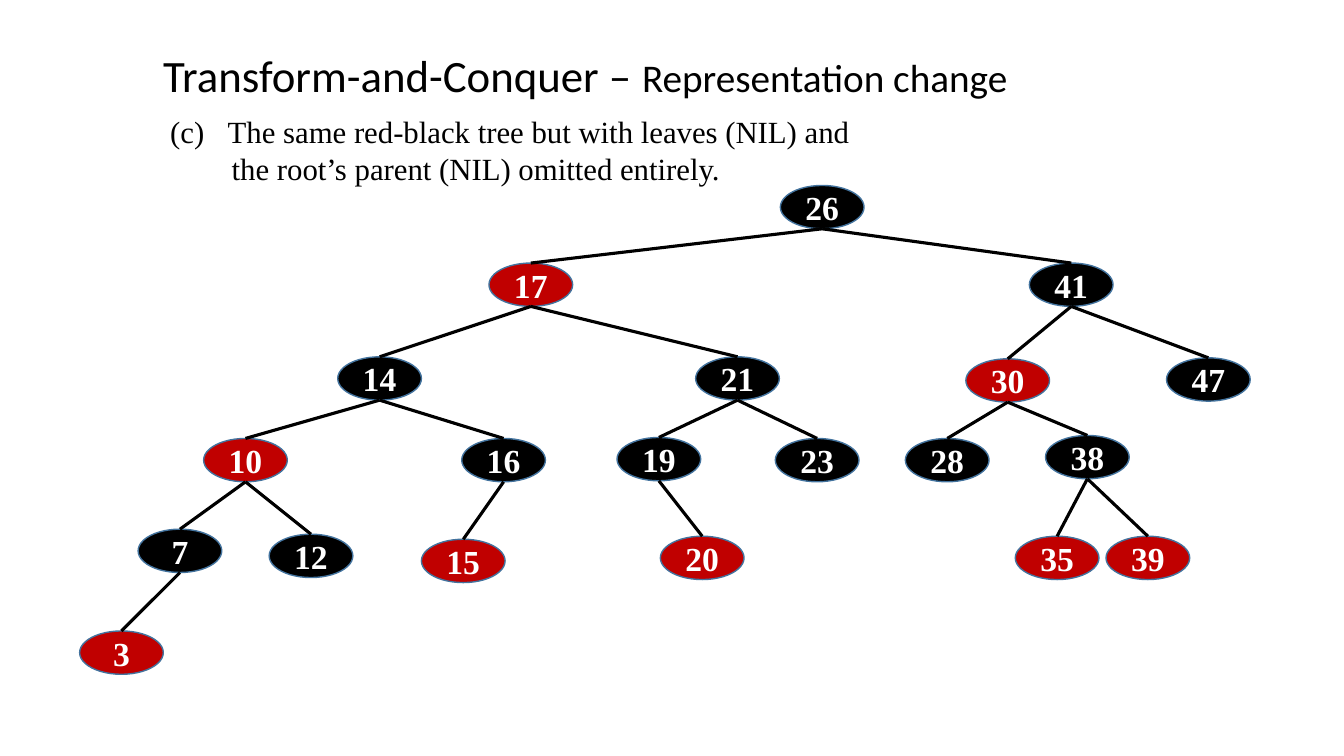
from lxml.etree import SubElement
from pptx import Presentation
from pptx.dml.color import RGBColor
from pptx.enum.shapes import MSO_CONNECTOR, MSO_SHAPE
from pptx.enum.text import MSO_ANCHOR, MSO_AUTO_SIZE, PP_ALIGN
from pptx.oxml.ns import qn
from pptx.util import Inches, Pt

COLORS = {
    "black": "000000",
    "red": "C00000",
    "edge": "43739E",
    "white": "FFFFFF",
}
SERIF = "Times New Roman"
WIDE, HIGH = 0.83, 0.43

# Key: left, top, parent
TREE = {
    26: (7.74, 1.84, None),
    17: (4.85, 2.61, 26),
    41: (10.21, 2.61, 26),
    14: (3.35, 3.54, 17),
    21: (6.9, 3.54, 17),
    30: (9.58, 3.56, 41),
    47: (11.57, 3.55, 41),
    10: (2.02, 4.35, 14),
    16: (4.58, 4.35, 14),
    19: (6.12, 4.34, 21),
    23: (7.69, 4.35, 21),
    28: (8.98, 4.35, 30),
    38: (10.37, 4.32, 30),
    7: (1.37, 5.25, 10),
    12: (2.67, 5.3, 10),
    15: (4.18, 5.35, 16),
    20: (6.55, 5.32, 19),
    35: (10.07, 5.32, 38),
    39: (10.97, 5.32, 38),
    3: (0.79, 6.26, 7),
}
REDS = {17, 30, 10, 15, 20, 35, 39, 3}


def color(name):
    return RGBColor.from_string(COLORS[name])


def style(font, name, size, tone):
    font.name = name
    font.size = Pt(size)
    font.color.rgb = color(tone)


deck = Presentation()
deck.slide_width, deck.slide_height = Inches(13.33), Inches(7.5)
slide = deck.slides.add_slide(deck.slide_layouts[6])
shapes = slide.shapes

# Tree nodes
nodes = {}
for key, (left, top, _) in TREE.items():
    node = shapes.add_shape(MSO_SHAPE.OVAL, Inches(left), Inches(top),
                            Inches(WIDE), Inches(HIGH))
    node.shadow.inherit = False
    node.fill.solid()
    node.fill.fore_color.rgb = color("red" if key in REDS else "black")
    node.line.color.rgb = color("edge")
    node.line.width = Pt(1)
    frame = node.text_frame
    frame.vertical_anchor = MSO_ANCHOR.MIDDLE
    para = frame.paragraphs[0]
    para.text = str(key)
    para.alignment = PP_ALIGN.CENTER
    style(para.font, SERIF, 24, "white")
    para.font.bold = True
    nodes[key] = node

# Branches from the foot of each parent to the top of its child
for key, (left, top, above) in TREE.items():
    if above is None:
        continue
    x, y, _ = TREE[above]
    branch = shapes.add_connector(
        MSO_CONNECTOR.STRAIGHT, Inches(x + WIDE / 2), Inches(y + HIGH),
        Inches(left + WIDE / 2), Inches(top))
    branch.end_connect(nodes[key], 0)
    branch.line.color.rgb = color("black")
    branch.line.width = Pt(2.25)
    SubElement(branch._element.spPr, qn("a:effectLst"))

# Caption with a hanging label
box = shapes.add_textbox(Inches(1.52), Inches(1.07), Inches(7.24), Inches(0.84))
frame = box.text_frame
frame.word_wrap = True
lines = [
    ("(c)\tThe same red-black tree but with leaves (NIL) and", 0.64, -0.57),
    ("the root’s parent (NIL) omitted entirely.", 0.68, 0),
]
for row, (text, margin, indent) in enumerate(lines):
    para = frame.add_paragraph() if row else frame.paragraphs[0]
    para.text = text
    style(para.font, SERIF, 22, "black")
    props = para._p.get_or_add_pPr()
    props.set("marL", str(Inches(margin)))
    props.set("indent", str(Inches(indent)))

# Title
box = shapes.add_textbox(Inches(1.52), Inches(0.42), Inches(8.66), Inches(0.64))
frame = box.text_frame
frame.word_wrap = False
frame.auto_size = MSO_AUTO_SIZE.SHAPE_TO_FIT_TEXT
para = frame.paragraphs[0]
for text, size in [("Transform-and-Conquer – ", 32), ("Representation change", 28)]:
    run = para.add_run()
    run.text = text
    style(run.font, "Calibri", size, "black")

deck.save("out.pptx")
